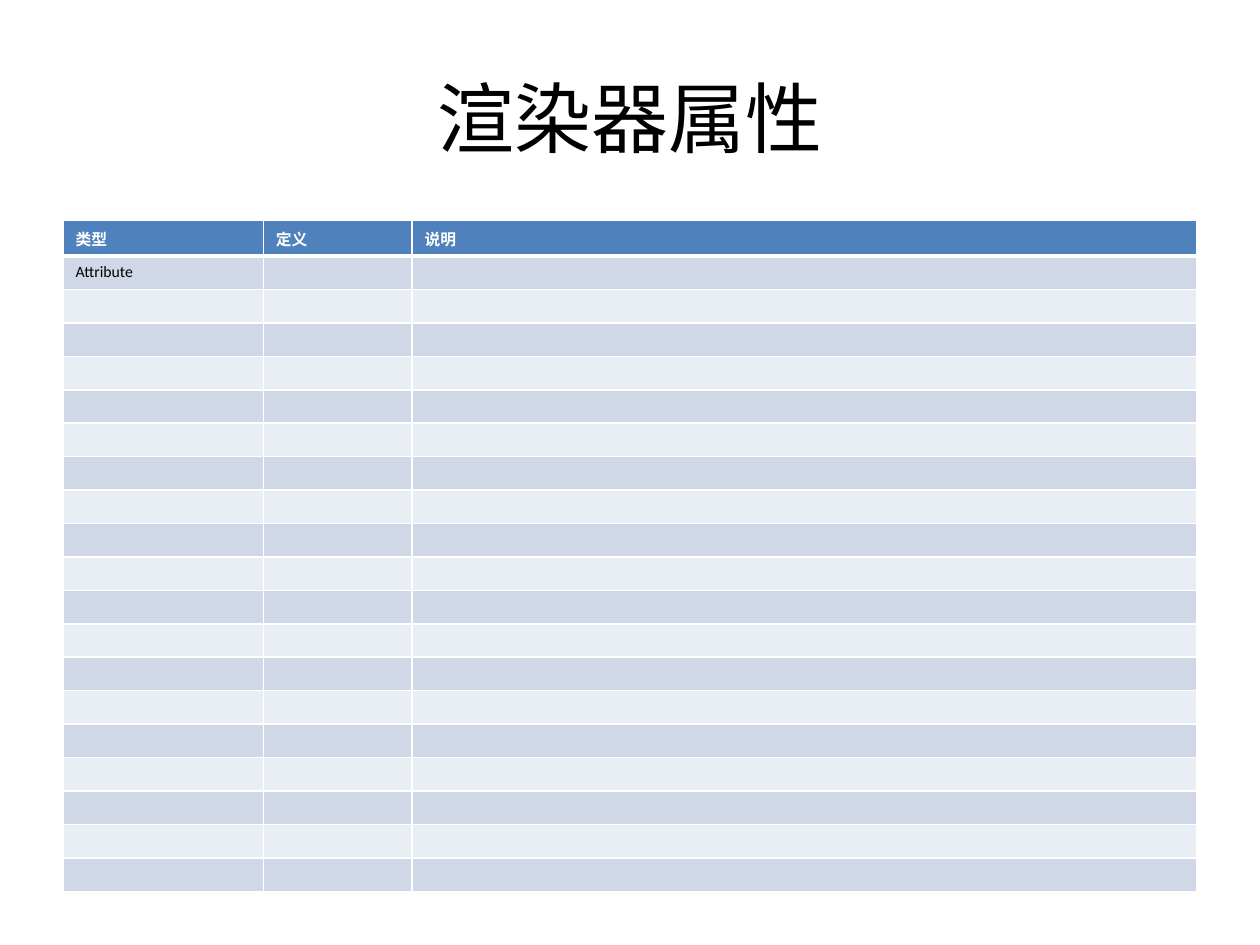
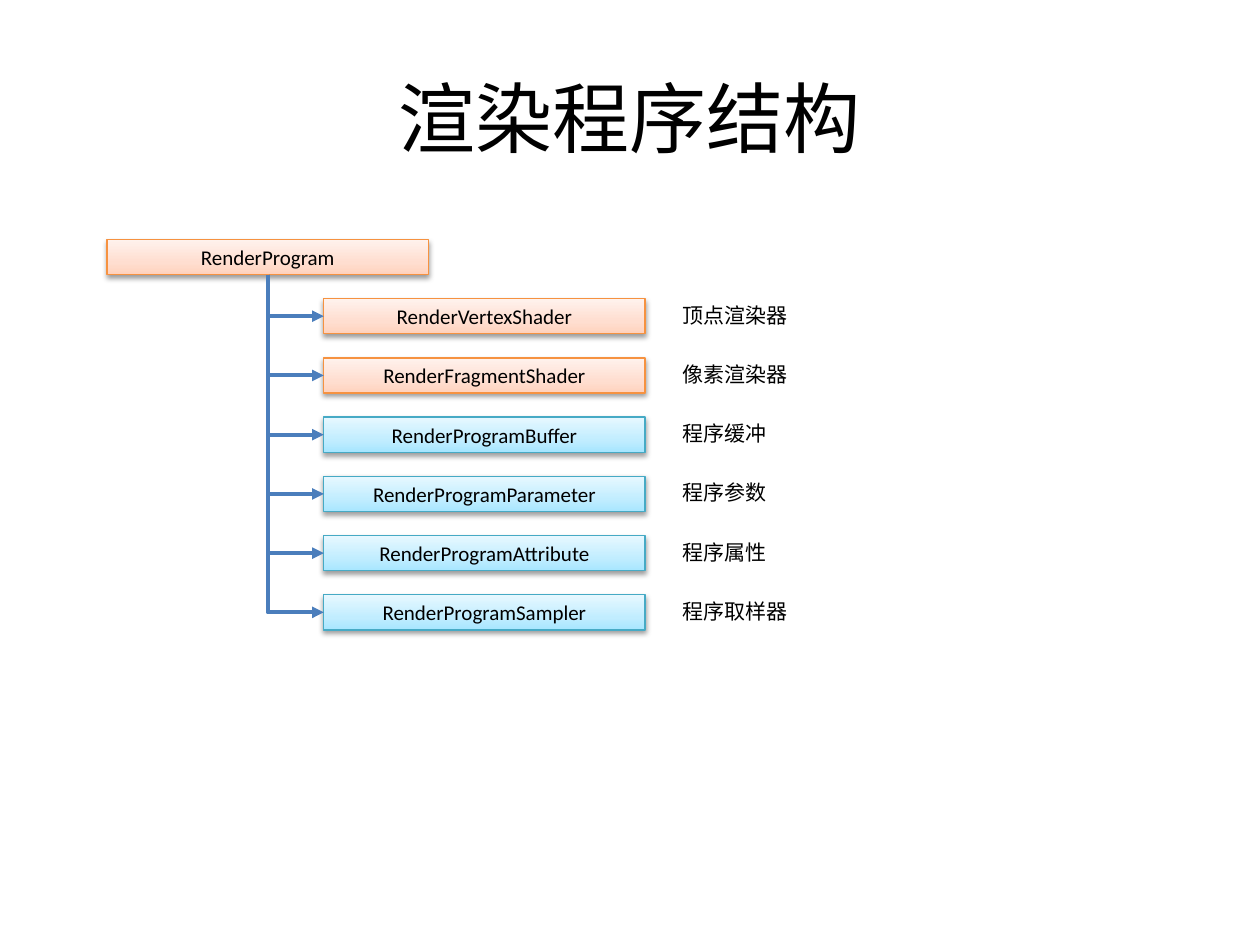
from copy import deepcopy
from dataclasses import dataclass

from lxml.etree import SubElement
from pptx import Presentation
from pptx.dml.color import RGBColor
from pptx.enum.shapes import MSO_CONNECTOR, MSO_SHAPE
from pptx.enum.text import MSO_ANCHOR, MSO_AUTO_SIZE, PP_ALIGN
from pptx.oxml.ns import qn
from pptx.shapes.autoshape import Shape
from pptx.slide import Slide
from pptx.util import Emu, Inches, Pt

WHITE = RGBColor(0xFF, 0xFF, 0xFF)
BLACK = RGBColor(0x00, 0x00, 0x00)
HEADER_BLUE = RGBColor(0x4F, 0x81, 0xBD)
BAND_DARK = RGBColor(0xD0, 0xD8, 0xE8)
BAND_LIGHT = RGBColor(0xE9, 0xED, 0xF4)
ARROW_BLUE = RGBColor(0x4B, 0x7E, 0xBC)

SLIDE_WIDTH, SLIDE_HEIGHT = Inches(10), Inches(7.5)
GRID_COLUMNS, GRID_ROWS = 100, 75

TITLE_FORMAT = {"name": "Calibri", "size": Pt(44)}
NODE_FORMAT = {"name": "Calibri", "size": Pt(12)}
CELL_FORMAT = {"name": "Calibri", "size": Pt(9), "bold": False}
HEADER_FORMAT = CELL_FORMAT | {"bold": True}


@dataclass(frozen=True)
class Palette:
    stops: tuple[tuple[float, RGBColor], ...]
    outline: RGBColor


@dataclass(frozen=True)
class Node:
    name: str
    palette: Palette
    label: str = ""


ORANGE = Palette(((0, RGBColor(0xFF, 0xD2, 0xBD)), (0.35, RGBColor(0xFF, 0xDE, 0xD0)),
                  (1, RGBColor(0xFF, 0xF2, 0xED))), RGBColor(0xF6, 0x92, 0x40))
AQUA = Palette(((0, RGBColor(0xA7, 0xE6, 0xFF)), (0.35, RGBColor(0xC1, 0xED, 0xFF)),
                (1, RGBColor(0xE7, 0xF8, 0xFF))), RGBColor(0x46, 0xAA, 0xC5))

ROOT = Node("RenderProgram", ORANGE)
PARTS = (
    Node("RenderVertexShader", ORANGE, "顶点渲染器"),
    Node("RenderFragmentShader", ORANGE, "像素渲染器"),
    Node("RenderProgramBuffer", AQUA, "程序缓冲"),
    Node("RenderProgramParameter", AQUA, "程序参数"),
    Node("RenderProgramAttribute", AQUA, "程序属性"),
    Node("RenderProgramSampler", AQUA, "程序取样器"),
)
ROOT_LEFT, PART_LEFT, LABEL_LEFT = 8.5, 25.7, 53.2
FIRST_ROW, ROW_STEP = 19, 4.7
NODE_WIDTH, NODE_HEIGHT = 25.5, 2.8
LABEL_WIDTH, LABEL_HEIGHT, LABEL_RISE = 34.6, 3, 0.2

TABLE_HEADERS = ("类型", "定义", "说明")
TABLE_ENTRIES = (("Attribute", "", ""),)
TABLE_ROWS = 20
TABLE_COLUMNS = (15.9, 11.8, 62.3)
TABLE_LEFT, TABLE_TOP, TABLE_HEIGHT = 5, 17.5, 53.1


def across(columns: float) -> Emu:
    return Emu(round(SLIDE_WIDTH * columns / GRID_COLUMNS))


def down(rows: float) -> Emu:
    return Emu(round(SLIDE_HEIGHT * rows / GRID_ROWS))


def write(paragraph, text: str, style: dict, color: RGBColor = BLACK) -> None:
    span = paragraph.add_run()
    span.text = text
    for name, value in style.items():
        setattr(span.font, name, value)
    span.font.color.rgb = color


def add_page(deck, title: str) -> Slide:
    page = deck.slides.add_slide(deck.slide_layouts[5])
    heading = page.shapes.title
    heading.left, heading.top = across(5), down(3)
    heading.width, heading.height = across(90), down(12.5)
    frame = heading.text_frame
    frame.vertical_anchor = MSO_ANCHOR.MIDDLE
    frame.paragraphs[0].alignment = PP_ALIGN.CENTER
    write(frame.paragraphs[0], title, TITLE_FORMAT)
    return page


def set_borders(cell, widths: dict[str, float]) -> None:
    properties = cell._tc.get_or_add_tcPr()
    for index, (side, width) in enumerate(widths.items()):
        line = SubElement(properties, qn(f"a:ln{side}"), w=str(Pt(width)))
        fill = SubElement(line, qn("a:solidFill"))
        SubElement(fill, qn("a:srgbClr"), val=str(WHITE))
        properties.insert(index, line)


def add_attribute_table(page: Slide) -> None:
    table = page.shapes.add_table(
        TABLE_ROWS, len(TABLE_COLUMNS), across(TABLE_LEFT), down(TABLE_TOP),
        across(sum(TABLE_COLUMNS)), down(TABLE_HEIGHT)).table
    for column, width in zip(table.columns, TABLE_COLUMNS):
        column.width = across(width)
    contents = (TABLE_HEADERS, *TABLE_ENTRIES)
    for row_index, row in enumerate(table.rows):
        row.height = down(TABLE_HEIGHT / TABLE_ROWS)
        is_header = row_index == 0
        band = BAND_DARK if row_index % 2 else BAND_LIGHT
        for column_index, cell in enumerate(row.cells):
            cell.fill.solid()
            cell.fill.fore_color.rgb = HEADER_BLUE if is_header else band
            set_borders(cell, {"L": 1, "R": 1, "T": 3 if row_index == 1 else 1,
                               "B": 3 if is_header else 1})
            text = contents[row_index][column_index] if row_index < len(contents) else ""
            paragraph = cell.text_frame.paragraphs[0]
            if text:
                write(paragraph, text, HEADER_FORMAT if is_header else CELL_FORMAT,
                      WHITE if is_header else BLACK)
            else:
                SubElement(paragraph._p, qn("a:endParaRPr"), sz="900")


def add_shadow(box: Shape) -> None:
    box.shadow.inherit = False
    effects = box._element.spPr.find(qn("a:effectLst"))
    shadow = SubElement(effects, qn("a:outerShdw"), blurRad=str(Pt(3.1)),
                        dist=str(Pt(1.6)), dir="5400000", rotWithShape="0")
    color = SubElement(shadow, qn("a:srgbClr"), val=str(BLACK))
    SubElement(color, qn("a:alpha"), val="38000")


def fill_gradient(box: Shape, palette: Palette) -> None:
    box.fill.gradient()
    box.fill.gradient_angle = 90
    stop_list = box._element.spPr.find(qn("a:gradFill")).find(qn("a:gsLst"))
    while len(stop_list) < len(palette.stops):
        stop_list.append(deepcopy(stop_list[0]))
    for stop, (position, color) in zip(box.fill.gradient_stops, palette.stops):
        stop.position = position
        stop.color.rgb = color


def add_node(page: Slide, node: Node, left: float, top: float) -> Shape:
    box = page.shapes.add_shape(MSO_SHAPE.RECTANGLE, across(left), down(top),
                                across(NODE_WIDTH), down(NODE_HEIGHT))
    fill_gradient(box, node.palette)
    box.line.color.rgb = node.palette.outline
    box.line.width = Pt(0.75)
    add_shadow(box)
    frame = box.text_frame
    frame.vertical_anchor = MSO_ANCHOR.MIDDLE
    frame.paragraphs[0].alignment = PP_ALIGN.CENTER
    write(frame.paragraphs[0], node.name, NODE_FORMAT)
    return box


def add_label(page: Slide, text: str, top: float) -> None:
    box = page.shapes.add_textbox(across(LABEL_LEFT), down(top - LABEL_RISE),
                                  across(LABEL_WIDTH), down(LABEL_HEIGHT))
    box.text_frame.word_wrap = True
    box.text_frame.auto_size = MSO_AUTO_SIZE.SHAPE_TO_FIT_TEXT
    write(box.text_frame.paragraphs[0], text, NODE_FORMAT)


def add_branch(page: Slide, root: Shape, part: Shape) -> None:
    start_x, start_y = root.left + root.width // 2, root.top + root.height
    end_x, end_y = part.left, part.top + part.height // 2
    run, drop = end_x - start_x, end_y - start_y
    arrow = page.shapes.add_connector(MSO_CONNECTOR.ELBOW, start_x, start_y, end_x, end_y)
    arrow.begin_connect(root, 2)
    arrow.end_connect(part, 1)
    arrow.left, arrow.top = Emu((start_x + end_x - drop) // 2), Emu((start_y + end_y - run) // 2)
    arrow.width, arrow.height = Emu(drop), Emu(run)
    properties = arrow._element.spPr
    frame = properties.find(qn("a:xfrm"))
    frame.set("rot", "16200000")
    frame.set("flipH", "1")
    properties.find(qn("a:prstGeom")).set("prst", "bentConnector2")
    arrow.line.color.rgb = ARROW_BLUE
    arrow.line.width = Pt(2.25)
    SubElement(properties.find(qn("a:ln")), qn("a:tailEnd"), type="triangle")
    SubElement(properties, qn("a:effectLst"))


def add_structure(page: Slide) -> None:
    root = add_node(page, ROOT, ROOT_LEFT, FIRST_ROW)
    for index, node in enumerate(PARTS, start=1):
        top = FIRST_ROW + index * ROW_STEP
        part = add_node(page, node, PART_LEFT, top)
        add_branch(page, root, part)
        add_label(page, node.label, top)


def main() -> None:
    deck = Presentation()
    deck.slide_width, deck.slide_height = SLIDE_WIDTH, SLIDE_HEIGHT
    add_attribute_table(add_page(deck, "渲染器属性"))
    add_structure(add_page(deck, "渲染程序结构"))
    deck.save("out.pptx")


main()
